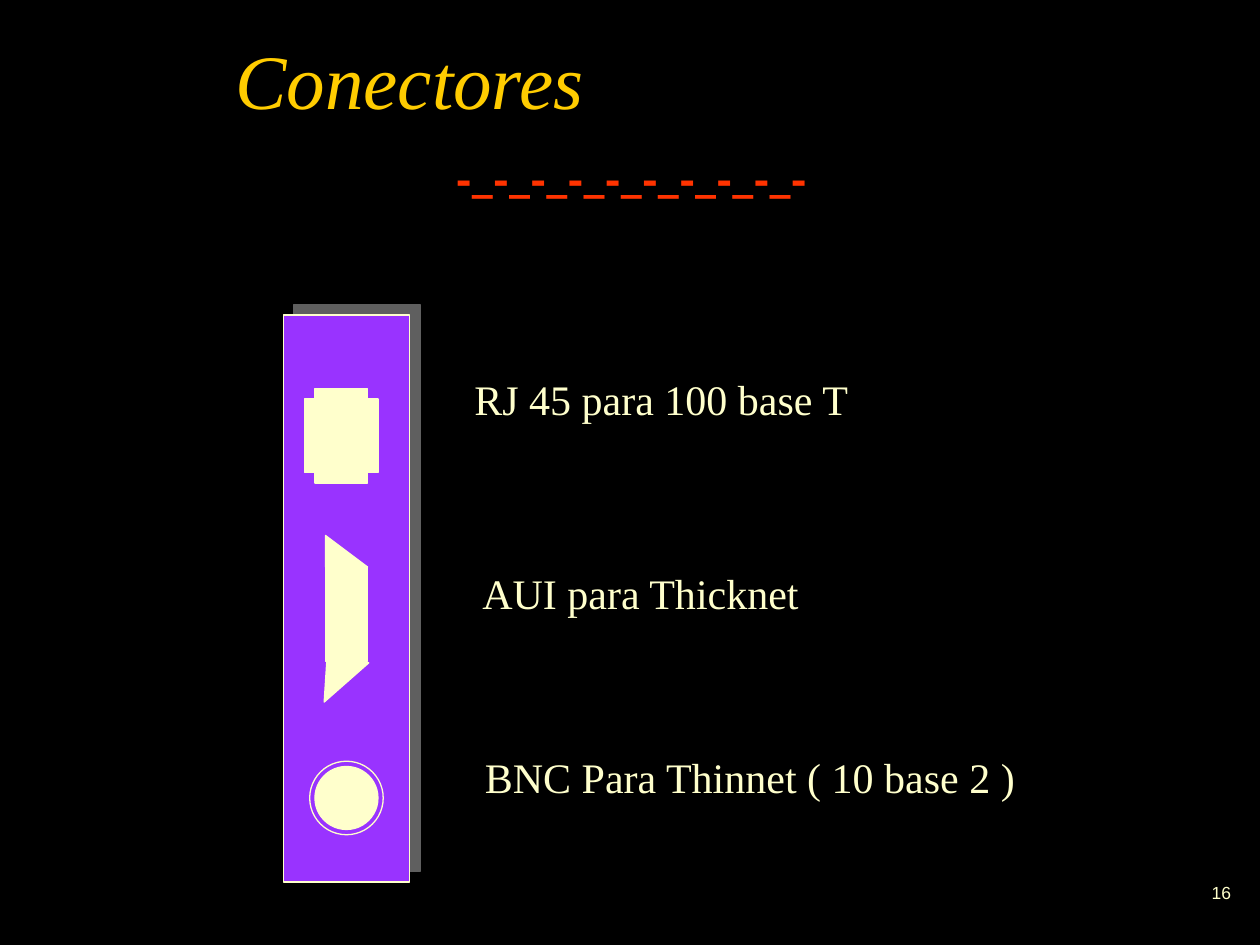
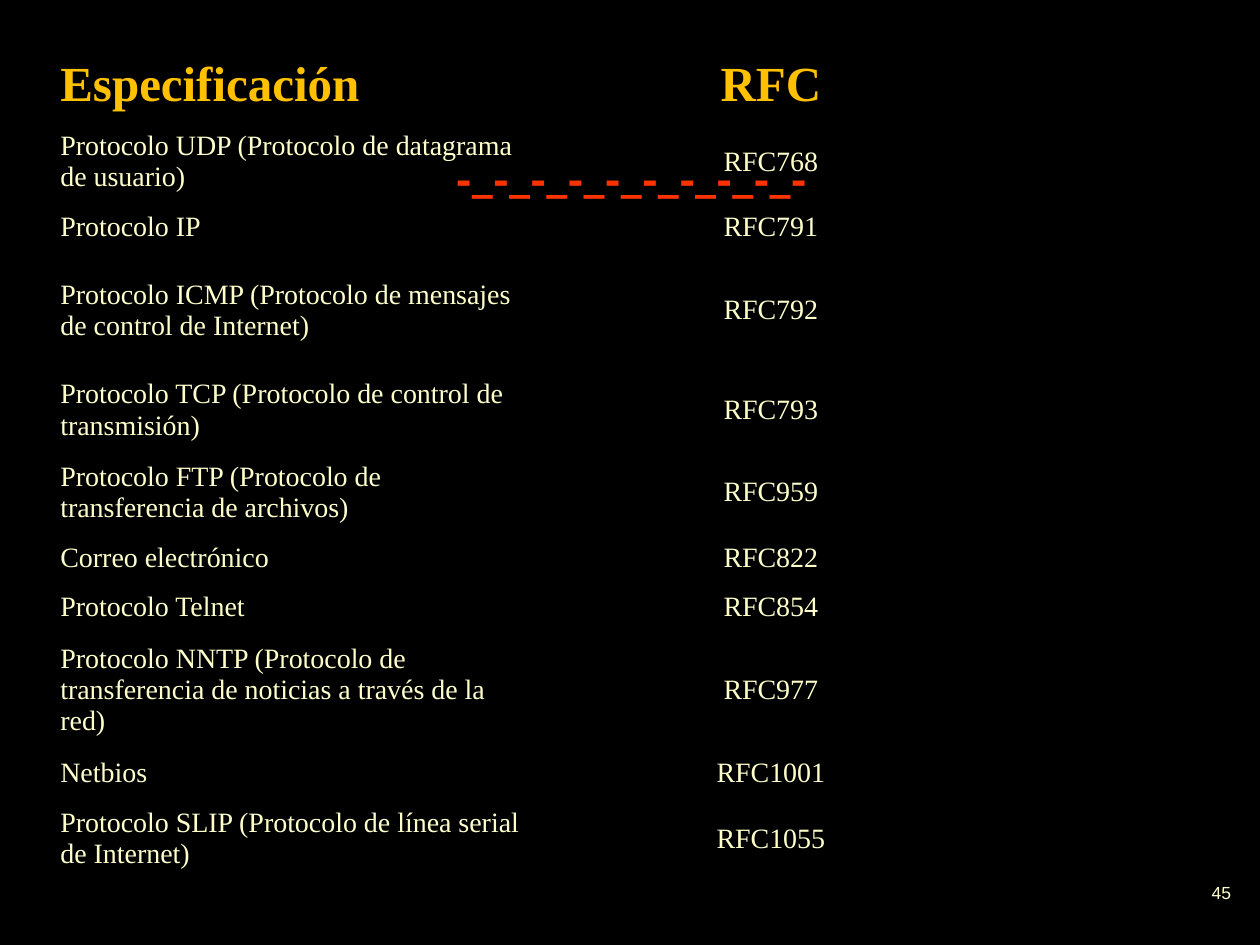
from lxml import etree
from pptx import Presentation
from pptx.dml.color import RGBColor
from pptx.enum.shapes import MSO_SHAPE as Form
from pptx.enum.text import MSO_ANCHOR as Anchor, PP_ALIGN as Align
from pptx.oxml.ns import qn
from pptx.util import Pt

BLACK = RGBColor(0x00, 0x00, 0x00)
CREAM = RGBColor(0xFF, 0xFF, 0xCC)
GOLD = RGBColor(0xFF, 0xCC, 0x00)
AMBER = RGBColor(0xFF, 0xC0, 0x00)
RED = RGBColor(0xFF, 0x33, 0x00)
PURPLE = RGBColor(0x99, 0x33, 0xFF)
GRAY = RGBColor(0x5F, 0x5F, 0x5F)
SERIF = "Times New Roman"
PLAIN = "{2D5ABB26-0587-4C30-8999-92F81FD0307C}"  # table style without grid

LABELS = [
    (264, 210, 228, "RJ 45 para 100 base T"),
    (268.5, 321, 195, "AUI para Thicknet"),
    (270, 426, 317.5, "BNC Para Thinnet ( 10 base 2 )"),
]
ROWS = [
    ("Especificación", "RFC", 36),
    ("Protocolo UDP (Protocolo de datagrama de usuario)", "RFC768", 47),
    ("Protocolo IP", "RFC791", 28),
    ("Protocolo ICMP (Protocolo de mensajes de control de Internet)",
     "RFC792", 67),
    ("Protocolo TCP (Protocolo de control de transmisión)", "RFC793", 47),
    ("Protocolo FTP (Protocolo de transferencia de archivos)", "RFC959", 47),
    ("Correo electrónico", "RFC822", 28),
    ("Protocolo Telnet", "RFC854", 28),
    ("Protocolo NNTP (Protocolo de transferencia de noticias a través "
     "de la red)", "RFC977", 67),
    ("Netbios", "RFC1001", 28),
    ("Protocolo SLIP (Protocolo de línea serial de Internet)", "RFC1055", 47),
]


def write(frame, words, size, color, face=SERIF, align=Align.LEFT,
          bold=False, slant=False):
    frame.text = words
    para = frame.paragraphs[0]
    para.alignment = align
    font = para.runs[0].font
    font.name, font.size = face, Pt(size)
    font.bold, font.italic = bold, slant
    font.color.rgb = color


def label(slide, box, words, size, color, wrap=True, anchor=Anchor.TOP,
          **style):
    frame = slide.shapes.add_textbox(*map(Pt, box)).text_frame
    frame.word_wrap = wrap
    frame.vertical_anchor = anchor
    write(frame, words, size, color, **style)


def draw(slide, form, box, fill=CREAM, turn=0):
    """Add a cream-edged shape; a fill of None leaves it hollow."""
    shape = slide.shapes.add_shape(form, *map(Pt, box))
    shape.shadow.inherit = False
    shape.rotation = turn
    shape.line.color.rgb = CREAM
    shape.line.width = Pt(0.75)
    if fill is None:
        shape.fill.background()
    else:
        shape.fill.solid()
        shape.fill.fore_color.rgb = fill
    return shape


def shade(shape):
    """Cast a hard gray shadow up and to the right."""
    effects = shape._element.spPr.find(qn("a:effectLst"))
    cast = etree.SubElement(effects, qn("a:outerShdw"), dist=str(Pt(8.5)),
                            dir=str(315 * 60000), algn="ctr", rotWithShape="0")
    etree.SubElement(cast, qn("a:srgbClr"), val=str(GRAY))


def start(deck, number):
    """Add a black slide with the dashed divider and its page number."""
    slide = deck.slides.add_slide(deck.slide_layouts[6])
    slide.background.fill.solid()
    slide.background.fill.fore_color.rgb = BLACK
    label(slide, (86.5, 84, 548.5, 14.5), "-_-_-_-_-_-_-_-_-_-", 24, RED,
          wrap=False, face="Montserrat", align=Align.CENTER, bold=True)
    label(slide, (561, 492, 149.5, 36), str(number), 10, CREAM,
          anchor=Anchor.MIDDLE, face="Arial", align=Align.RIGHT)
    return slide


def panel(slide, left, top):
    """Draw the card with its RJ45, AUI and BNC sockets."""
    shade(draw(slide, Form.RECTANGLE, (left, top, 72, 324), PURPLE))
    parts = [
        (Form.RECTANGLE, 18, 42, 30, 54, CREAM, 0),
        (Form.RECTANGLE, 12, 48, 42, 42, CREAM, 0),
        (Form.OVAL, 18, 258, 36, 36, CREAM, 0),
        (Form.OVAL, 15, 255, 42, 42, None, 0),
        (Form.RECTANGLE, 24, 144, 24, 54, CREAM, 0),
        (Form.RIGHT_TRIANGLE, 24, 126, 24, 18, CREAM, 0),
        (Form.RIGHT_TRIANGLE, 24, 198, 24, 24, CREAM, 93.7),
    ]
    for form, x, y, wide, high, fill, turn in parts:
        draw(slide, form, (left + x, top + y, wide, high), fill, turn)


def ports(deck):
    slide = start(deck, 16)
    label(slide, (127.5, 17.5, 495.5, 55.5), "Conectores", 44, GOLD,
          anchor=Anchor.MIDDLE, slant=True)
    panel(slide, 162, 180)
    for x, y, wide, words in LABELS:
        label(slide, (x, y, wide, 36), words, 24, CREAM, wrap=False)


def grid(slide, left, top, widths):
    high = sum(row[-1] for row in ROWS)
    frame = slide.shapes.add_table(len(ROWS), len(widths), Pt(left), Pt(top),
                                   Pt(sum(widths)), Pt(high))
    table = frame.table
    table.first_row = table.horz_banding = False
    table._tbl.tblPr.find(qn("a:tableStyleId")).text = PLAIN
    for col, wide in zip(table.columns, widths):
        col.width = Pt(wide)
    for i, (*words, tall) in enumerate(ROWS):
        table.rows[i].height = Pt(tall)
        size, color = (16, CREAM) if i else (28, AMBER)
        for j, word in enumerate(words):
            cell = table.cell(i, j)
            cell.fill.background()
            cell.vertical_anchor = Anchor.MIDDLE
            cell.margin_left = cell.margin_right = Pt(2.25)
            write(cell.text_frame, word, size, color, bold=i == 0,
                  align=Align.CENTER if j else Align.LEFT)


def specs(deck):
    slide = start(deck, 45)
    grid(slide, 32.25, 28, (271.5, 273.5))


def main():
    deck = Presentation()
    deck.slide_width, deck.slide_height = Pt(720), Pt(540)
    ports(deck)
    specs(deck)
    deck.save("out.pptx")


if __name__ == "__main__":
    main()
